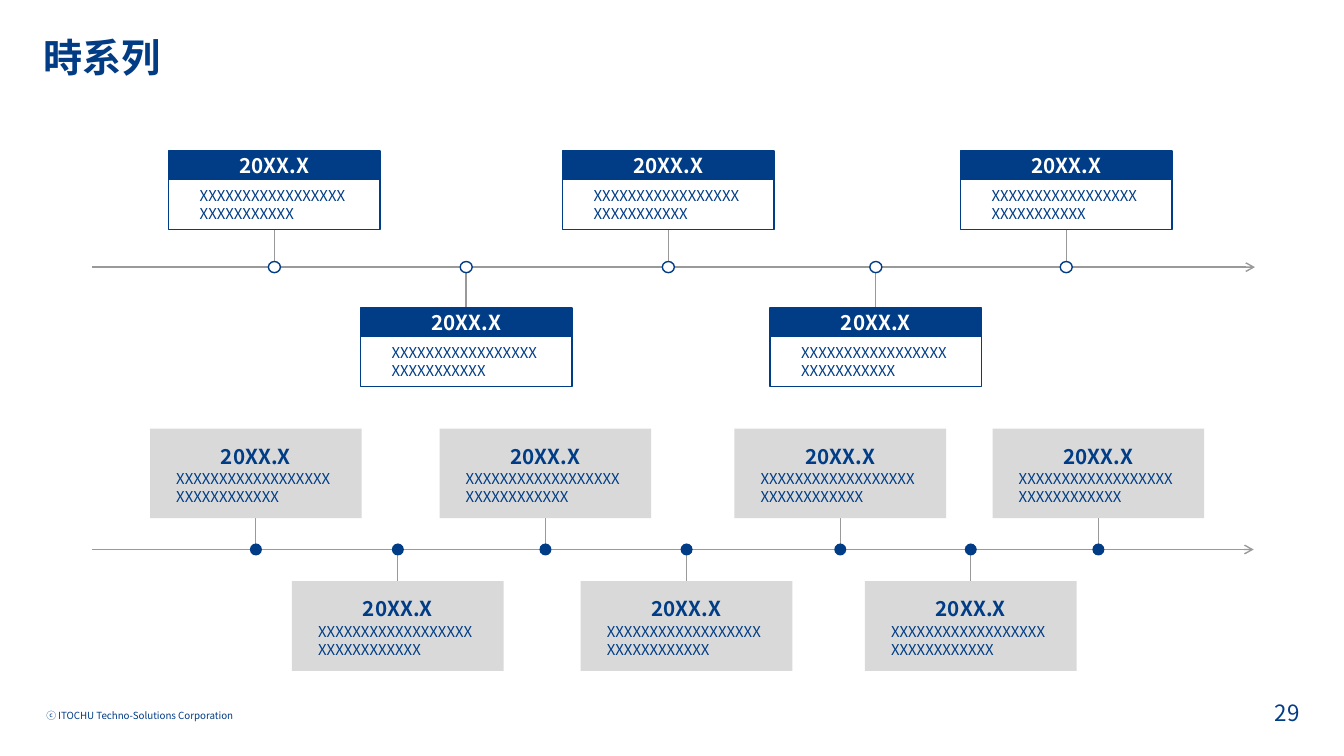
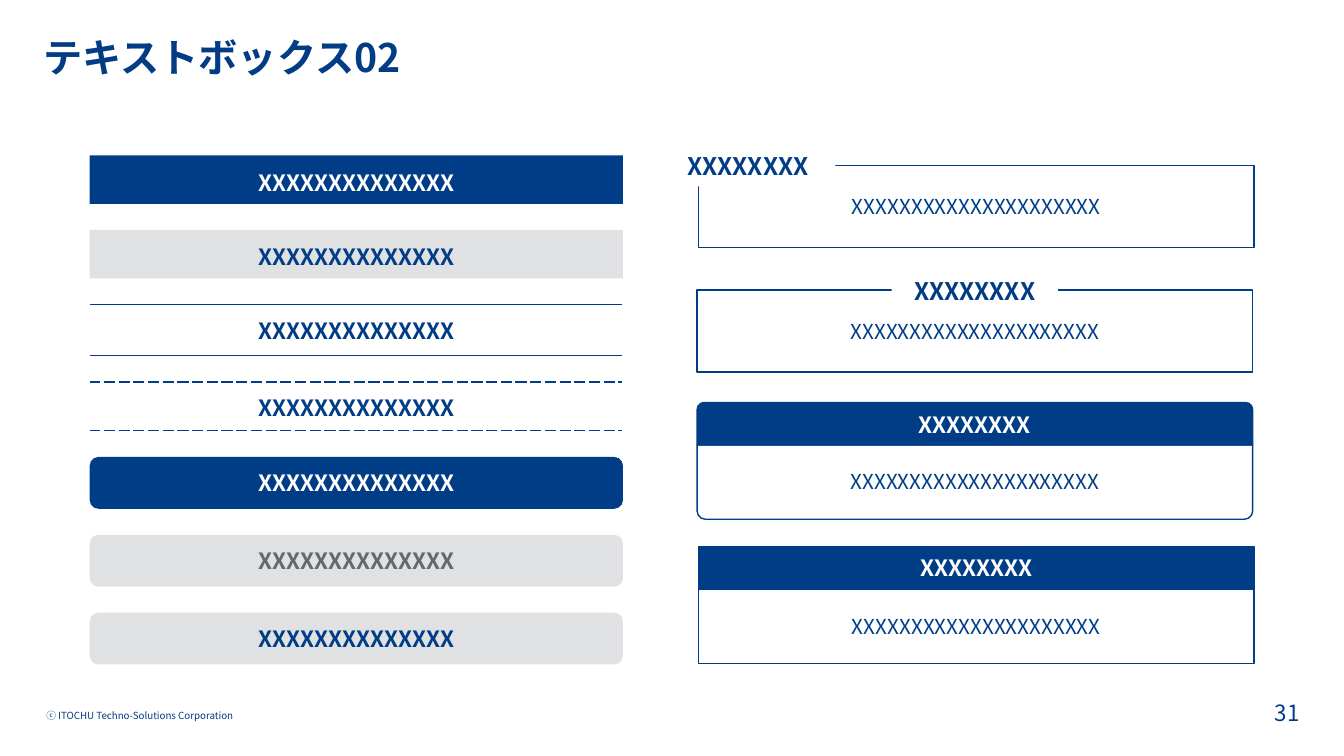
from dataclasses import dataclass

from lxml import etree
from pptx import Presentation
from pptx.dml.color import RGBColor
from pptx.enum.shapes import MSO_CONNECTOR, MSO_SHAPE
from pptx.enum.text import MSO_ANCHOR, PP_ALIGN
from pptx.oxml.ns import qn
from pptx.util import Pt

RECT, ROUND = MSO_SHAPE.RECTANGLE, MSO_SHAPE.ROUNDED_RECTANGLE
ROUND_TOP, OVAL = MSO_SHAPE.ROUND_2_SAME_RECTANGLE, MSO_SHAPE.OVAL
STRAIGHT = MSO_CONNECTOR.STRAIGHT
LEFT, CENTER, RIGHT, JUSTIFY = PP_ALIGN.LEFT, PP_ALIGN.CENTER, PP_ALIGN.RIGHT, PP_ALIGN.JUSTIFY
TOP, MIDDLE, BOTTOM = MSO_ANCHOR.TOP, MSO_ANCHOR.MIDDLE, MSO_ANCHOR.BOTTOM

FONT = "Noto Sans CJK JP"
TITLE_BLUE, NAVY, WHITE = "013C85", "003D86", "FFFFFF"
PALE, SILVER, GRAY, SLATE = "E0E1E2", "D9D9D9", "999999", "63696E"
COPYRIGHT = "ⓒ ITOCHU Techno-Solutions Corporation"

DATE = "20XX.X"
CARD_WIDTH = 151.2
FRAMED_NOTE = "XXXXXXXXXXXXXXXXXXXXXXXXXXXX"
PLAIN_NOTE = "XXXXXXXXXXXXXXXXXXXXXXXXXXXXXX"
FRAMED_AXIS = {"start": 66, "end": 896.4, "y": 190.8}
PLAIN_AXIS = {"start": 65.5, "end": 895.5, "y": 392.5}
FRAMED_ROWS = [(107.8, [196, 477.4, 761.6]), (220.1, [333, 625.6])]
PLAIN_ROWS = [(306.2, [182.8, 389.6, 600.2, 784.6]), (415.2, [284.2, 490.4, 693.4])]

BAR_TEXT = "XXXXXXXXXXXXXX"
BAR_LEFT, BAR_TOP, BAR_WIDTH, BAR_GAP = 64.1, 111, 380.9, 18.6
BARS = [
    {"kind": RECT, "height": 34.6, "fill": NAVY, "color": WHITE, "spacing": 1.2},
    {"kind": RECT, "height": 34.6, "fill": PALE, "color": NAVY, "spacing": 1.2},
    {"kind": "ruled", "height": 36.8, "dash": "solid"},
    {"kind": "ruled", "height": 35, "dash": "sysDash"},
    {"kind": ROUND, "height": 37, "fill": NAVY, "color": WHITE},
    {"kind": ROUND, "height": 37, "fill": PALE, "color": SLATE},
    {"kind": ROUND, "height": 37, "fill": PALE, "color": NAVY},
]

PANEL_HEAD, PANEL_TEXT = "XXXXXXXX", "XXXXXXXXXXXXXXXXXXXXX"
PANEL_WIDTH = 396.8
LABELLED_PANELS = [
    {"at": (499, 118.2), "label": (491, 103, 105.8, 30.2), "align": LEFT},
    {"at": (498, 207.2), "label": (636.8, 200.2, 118.8, 14.4), "align": CENTER},
]
HEADED_PANELS = [
    {"at": (498, 287.5), "kind": ROUND_TOP, "corners": (0, 0.11)},
    {"at": (499, 390.5), "kind": RECT, "corners": ()},
]


@dataclass
class Line:
    """One paragraph of text with its style."""
    text: str
    size: float
    color: str = NAVY
    bold: bool = False
    align: PP_ALIGN = CENTER
    spacing: float = 1
    before: float = 0


def rgb(value):
    """Turn a hex string into a colour."""
    return RGBColor.from_string(value)


def points(*values):
    """Turn numbers into lengths in points."""
    return [Pt(value) for value in values]


def write(frame, lines):
    """Fill a text frame with styled paragraphs."""
    for index, line in enumerate(lines):
        para = frame.add_paragraph() if index else frame.paragraphs[0]
        para.alignment = line.align
        para.line_spacing = line.spacing
        if line.before:
            para.space_before = Pt(line.before)
        span = para.add_run()
        span.text = line.text
        span.font.size = Pt(line.size)
        span.font.bold = line.bold
        span.font.name = FONT
        span.font.color.rgb = rgb(line.color)
        etree.SubElement(span.font._element, qn("a:ea"), typeface=FONT)


def set_frame(frame, insets, anchor):
    """Set wrapping, insets and anchor of a text frame."""
    frame.word_wrap = True
    frame.margin_left, frame.margin_top, frame.margin_right, frame.margin_bottom = points(*insets)
    frame.vertical_anchor = anchor


def add_text(page, box, line, insets=(7.2, 3.6, 7.2, 3.6), anchor=TOP):
    """Add a text box with one line."""
    frame = page.shapes.add_textbox(*points(*box)).text_frame
    set_frame(frame, insets, anchor)
    write(frame, [line])


def add_box(page, kind, box, fill=None, outline=None, lines=(), inset=22.3, corners=()):
    """Add a preset shape with centred text."""
    shape = page.shapes.add_shape(kind, *points(*box))
    shape.shadow.inherit = False
    for index, corner in enumerate(corners):
        shape.adjustments[index] = corner
    if fill:
        shape.fill.solid()
        shape.fill.fore_color.rgb = rgb(fill)
    else:
        shape.fill.background()
    if outline:
        shape.line.color.rgb = rgb(outline)
        shape.line.width = Pt(1)
    else:
        shape.line.fill.background()
    set_frame(shape.text_frame, (inset, 0, inset, 0), MIDDLE)
    write(shape.text_frame, lines)


def add_line(page, start, end, width=1, arrow=False):
    """Add a gray line, with an arrowhead at its end if asked."""
    link = page.shapes.add_connector(STRAIGHT, *points(*start, *end))
    link.line.color.rgb = rgb(GRAY)
    link.line.width = Pt(width)
    if arrow:
        etree.SubElement(link.line._get_or_add_ln(), qn("a:tailEnd"), type="arrow")
    etree.SubElement(link._element.spPr, qn("a:effectLst"))


def add_ruled_bar(page, box, dash, line):
    """Add a one-cell table ruled above and below."""
    table = page.shapes.add_table(1, 1, *points(*box)).table
    table.first_row = table.horz_banding = False
    cell = table.cell(0, 0)
    cell.margin_left, cell.margin_top, cell.margin_right, cell.margin_bottom = points(22.3, 0, 22.3, 0)
    cell.vertical_anchor = MIDDLE
    cell.fill.background()
    write(cell.text_frame, [line])
    properties = cell._tc.get_or_add_tcPr()
    for index, side in enumerate(("a:lnT", "a:lnB")):
        border = etree.Element(qn(side), w=str(Pt(1)))
        paint = etree.SubElement(border, qn("a:solidFill"))
        etree.SubElement(paint, qn("a:srgbClr"), val=NAVY)
        etree.SubElement(border, qn("a:prstDash"), val=dash)
        properties.insert(index, border)


def add_page(deck, title, number):
    """Add a page with title, copyright line and number."""
    page = deck.slides.add_slide(deck.slide_layouts[6])
    add_text(page, (26, 503.3, 216, 26), Line(COPYRIGHT, 7, TITLE_BLUE, align=LEFT))
    add_text(page, (719.3, 498.2, 216, 23.8), Line(number, 16, TITLE_BLUE, align=RIGHT), anchor=BOTTOM)
    heading = Line(title, 28, TITLE_BLUE, True, LEFT, 0.9)
    add_text(page, (31, 27.4, 737, 33.8), heading, (0, 0, 0, 3.6), MIDDLE)
    return page


def add_framed_card(page, left, top):
    """Add an outlined card with a navy date band."""
    note = Line(FRAMED_NOTE, 10.7, align=JUSTIFY)
    date = Line(DATE, 14.7, WHITE, True)
    add_box(page, RECT, (left, top + 20, CARD_WIDTH, 36), WHITE, NAVY, [note])
    add_box(page, RECT, (left, top, CARD_WIDTH, 20), NAVY, NAVY, [date], 11.5)


def add_plain_card(page, left, top):
    """Add a gray card with date and note."""
    lines = [Line(DATE, 14.7, bold=True, spacing=1.1),
             Line(PLAIN_NOTE, 10.7, align=JUSTIFY, before=1.3)]
    add_box(page, RECT, (left, top, CARD_WIDTH, 64), SILVER, None, lines, 18.7)


def add_timeline(page, axis, rows, add_card, card_height, dot, stem_width):
    """Add an arrow with cards hanging above and below it."""
    y = axis["y"]
    add_line(page, (axis["start"], y), (axis["end"], y), arrow=True)
    for top, centers in rows:
        edge = top if top > y else top + card_height
        for center in centers:
            add_line(page, (center, min(y, edge)), (center, max(y, edge)), stem_width)
            add_card(page, center - CARD_WIDTH / 2, top)
            width, height, fill, outline = dot
            add_box(page, OVAL, (center - width / 2, y - height / 2, width, height), fill, outline)


def add_bars(page):
    """Stack the heading bars at equal gaps."""
    top = BAR_TOP
    for bar in BARS:
        box = (BAR_LEFT, top, BAR_WIDTH, bar["height"])
        line = Line(BAR_TEXT, 16, bar.get("color", NAVY), True, spacing=bar.get("spacing", 1))
        if bar["kind"] == "ruled":
            add_ruled_bar(page, box, bar["dash"], line)
        else:
            add_box(page, bar["kind"], box, bar["fill"], lines=[line])
        top += bar["height"] + BAR_GAP


def add_panels(page):
    """Add the labelled and the headed panels."""
    body = [Line(PANEL_TEXT, 14.7)]
    for panel in LABELLED_PANELS:
        label = Line(PANEL_HEAD, 17.3, bold=True, align=panel["align"])
        add_box(page, RECT, (*panel["at"], PANEL_WIDTH, 58.5), WHITE, NAVY, body)
        add_box(page, RECT, panel["label"], WHITE, lines=[label], inset=0)
    for panel in HEADED_PANELS:
        left, top = panel["at"]
        head = Line(PANEL_HEAD, 16, WHITE, True)
        add_box(page, panel["kind"], (left, top + 30.4, PANEL_WIDTH, 53), None, NAVY, body,
                corners=panel["corners"])
        add_box(page, panel["kind"], (left, top, PANEL_WIDTH, 30.4), NAVY, NAVY, [head])


def main():
    """Build and save the deck."""
    deck = Presentation()
    deck.slide_width, deck.slide_height = points(960, 540)
    page = add_page(deck, "時系列", "29")
    add_timeline(page, FRAMED_AXIS, FRAMED_ROWS, add_framed_card, 56, (8.6, 8, WHITE, NAVY), 1)
    add_timeline(page, PLAIN_AXIS, PLAIN_ROWS, add_plain_card, 64, (8.6, 8.6, NAVY, None), 0.75)
    page = add_page(deck, "テキストボックス02", "31")
    add_bars(page)
    add_panels(page)
    deck.save("out.pptx")


if __name__ == "__main__":
    main()
